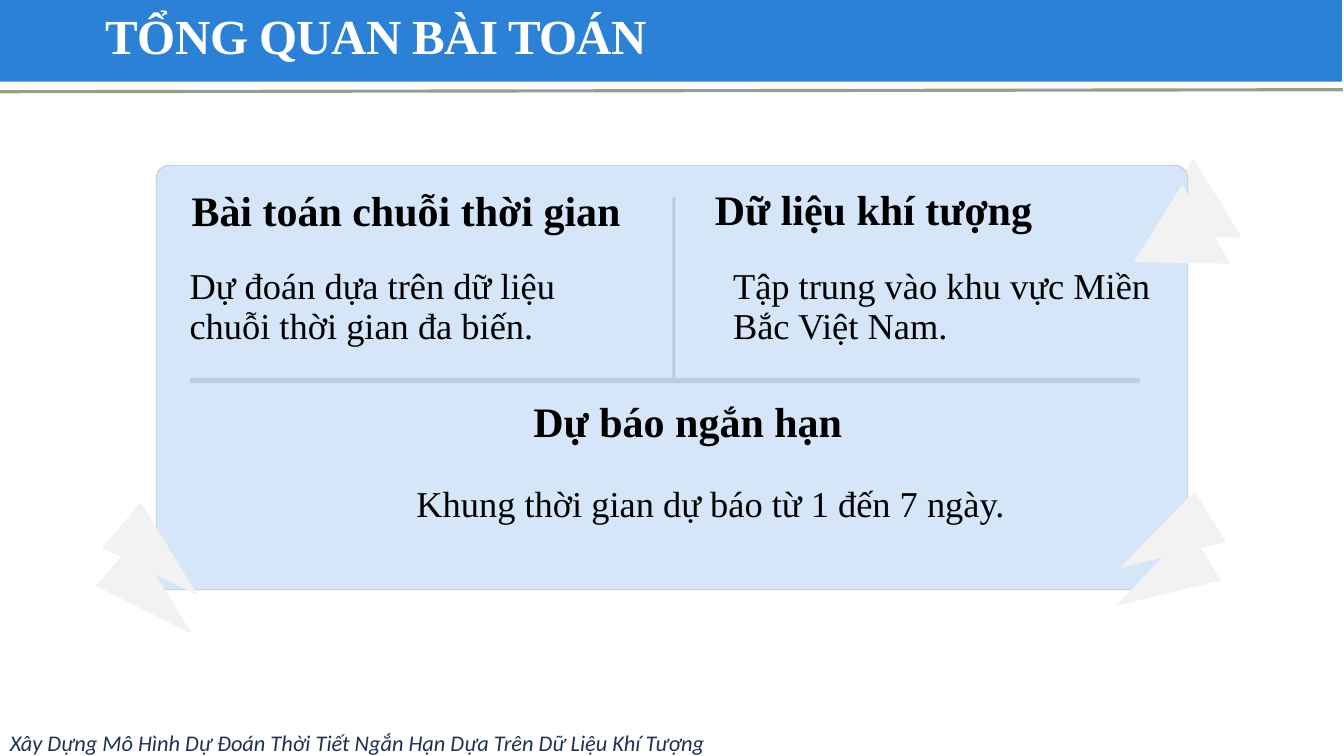
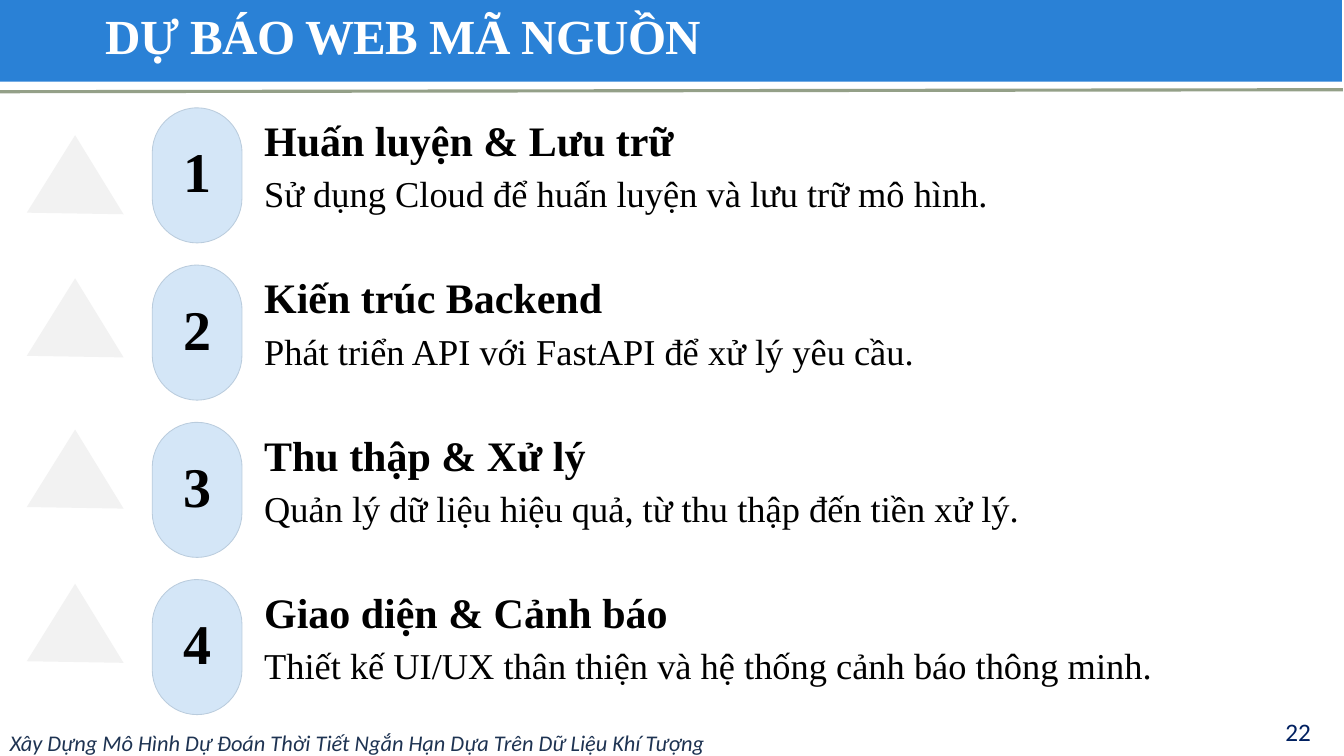
import dataclasses

import pptx
import pptx.dml.color
import pptx.enum.shapes
import pptx.enum.text
import pptx.oxml
import pptx.oxml.ns
import pptx.util

EMU_PER_PX = 9144  # 100 px to the inch
SHAPES = pptx.enum.shapes.MSO_SHAPE
ALIGN = pptx.enum.text.PP_ALIGN
ANCHOR = pptx.enum.text.MSO_ANCHOR


@dataclasses.dataclass(frozen=True)
class Style:
    color: str
    font: dict
    spacing: float = 0  # exact line height in points, 0 for automatic
    tracking: int = 0  # hundredths of a point


def serif(size, color="000000", bold=False, **more):
    return Style(color, {"name": "Times New Roman", "size": pptx.util.Pt(size), "bold": bold}, **more)


def sans(size, color, italic=False):
    return Style(color, {"name": "Calibri", "size": pptx.util.Pt(size), "italic": italic})


@dataclasses.dataclass(frozen=True)
class Theme:
    band: str = "2A81D6"
    rule: str = "94A088"
    panel: str = "D4E6F7"
    edge: str = "BACCDD"
    ornament: str = "F2F2F2"
    title: Style = serif(35, "FFFFFF", True, tracking=-50)
    footer: Style = sans(16, "1E3352", True)
    page: Style = sans(18, "002060")
    topic: Style = serif(30, bold=True, spacing=27.5)
    detail: Style = serif(26, spacing=28.5)
    number: Style = serif(40, bold=True, spacing=24)
    step: Style = serif(30, bold=True, spacing=25)
    step_detail: Style = serif(26, spacing=25.5)


THEME = Theme()
FOOTER = "Xây Dựng Mô Hình Dự Đoán Thời Tiết Ngắn Hạn Dựa Trên Dữ Liệu Khí Tượng"

# Topic, its place, detail, its place
TOPICS = [
    ("Bài toán chuỗi thời gian", (190, 195, 440, 46),
     "Dự đoán dựa trên dữ liệu chuỗi thời gian đa biến.", (188, 265, 449, 95)),
    ("Dữ liệu khí tượng", (709, 194, 384, 46),
     "Tập trung vào khu vực Miền Bắc Việt Nam.", (727, 265, 449, 95)),
    ("Dự báo ngắn hạn", (529, 404, 384, 46),
     "Khung thời gian dự báo từ 1 đến 7 ngày.", (413, 481, 628, 48)),
]

# Step, detail, top of the ornament beside it
STEPS = [
    ("Huấn luyện & Lưu trữ", "Sử dụng Cloud để huấn luyện và lưu trữ mô hình.", 154),
    ("Kiến trúc Backend", "Phát triển API với FastAPI để xử lý yêu cầu.", 296),
    ("Thu thập & Xử lý", "Quản lý dữ liệu hiệu quả, từ thu thập đến tiền xử lý.", 446),
    ("Giao diện & Cảnh báo", "Thiết kế UI/UX thân thiện và hệ thống cảnh báo thông minh.", 599),
]


def px(*lengths):
    return [pptx.util.Emu(length * EMU_PER_PX) for length in lengths]


def rgb(color):
    return pptx.dml.color.RGBColor.from_string(color)


# Elements
def write(frame, words, style, align=ALIGN.LEFT):
    paragraph = frame.paragraphs[0]
    paragraph.alignment = align
    if style.spacing:
        paragraph.line_spacing = pptx.util.Pt(style.spacing)
    run = paragraph.add_run()
    run.text = words
    for name, value in style.font.items():
        setattr(run.font, name, value)
    run.font.color.rgb = rgb(style.color)
    if style.tracking:
        run.font._element.set("spc", str(style.tracking))


def add_text(slide, box, words, style, align=ALIGN.LEFT, inset=False, anchor=ANCHOR.TOP):
    frame = slide.shapes.add_textbox(*px(*box)).text_frame
    layout = {"word_wrap": True, "vertical_anchor": anchor}
    if not inset:
        layout |= dict.fromkeys(("margin_left", "margin_top", "margin_right", "margin_bottom"), 0)
    for name, value in layout.items():
        setattr(frame, name, value)
    write(frame, words, style, align)


def add_block(slide, kind, box, fill, edge=None, adjust=None, rotation=0):
    block = slide.shapes.add_shape(kind, *px(*box))
    block.shadow.inherit = False
    block.rotation = rotation
    block.fill.solid()
    block.fill.fore_color.rgb = rgb(fill)
    if edge:
        block.line.color.rgb = rgb(edge)
        block.line.width = pptx.util.Pt(0.6)
    else:
        block.line.fill.background()
    if adjust is not None:
        block.adjustments[0] = adjust
    return block


def add_ornament(slide, box, rotation=238.5):
    add_block(slide, SHAPES.ISOSCELES_TRIANGLE, box, THEME.ornament, adjust=0.56, rotation=rotation)


def add_rule(slide, start, end):
    rule = slide.shapes.add_connector(pptx.enum.shapes.MSO_CONNECTOR.STRAIGHT, *px(*start, *end))
    rule.line.color.rgb = rgb(THEME.rule)
    rule.line.width = pptx.util.Pt(2.25)
    rule.element.spPr.append(pptx.oxml.parse_xml(
        "<a:effectLst %s/>" % pptx.oxml.ns.nsdecls("a")))
    return rule


# Shared frame
def dress_layout(layout, slide):
    """Move the header band and rule into the layout, behind its title."""
    header = [add_block(slide, SHAPES.RECTANGLE, (-2, -1, 1333, 82), THEME.band),
              add_rule(slide, (0, 91), (1332, 89))]
    for order, part in enumerate(header):
        part.element.xpath(".//p:cNvPr")[0].set("id", str(20 + order))
        layout.shapes.element.insert(2 + order, part.element)
    title = layout.placeholders[0]
    title.left, title.top, title.width, title.height = px(95, 8, 1229, 61)


def start_slide(deck, layout, heading):
    slide = deck.slides.add_slide(layout)
    frame = slide.shapes.title.text_frame
    frame.vertical_anchor = ANCHOR.BOTTOM
    frame.auto_size = pptx.enum.text.MSO_AUTO_SIZE.NONE
    write(frame, heading, THEME.title)
    add_text(slide, (0, 718, 1023, 32), FOOTER, THEME.footer, inset=True)
    return slide


# Slide contents
def fill_overview(slide):
    add_ornament(slide, (1127, 177, 92, 81))
    add_block(slide, SHAPES.ROUNDED_RECTANGLE, (155, 164, 1023, 421),
              THEME.panel, THEME.edge, adjust=0.03)
    for divider in ((667, 195, 3, 183), (188, 375, 943, 5)):
        add_block(slide, SHAPES.ROUNDED_RECTANGLE, divider, THEME.edge, adjust=0.5)
    for topic, topic_box, detail, detail_box in TOPICS:
        add_text(slide, topic_box, topic, THEME.topic)
        add_text(slide, detail_box, detail, THEME.detail)
    add_ornament(slide, (1116, 203, 92, 81))
    for left, top, rotation in ((1122, 526, 238.5), (1127, 488, 238.5),
                                (124, 541, 130.7), (130, 503, 130.7)):
        add_ornament(slide, (left, top, 59, 103), rotation)


def fill_steps(slide):
    first_top, pitch = 107, 156
    for order, (step, detail, ornament_top) in enumerate(STEPS):
        top = first_top + order * pitch
        add_block(slide, SHAPES.ROUNDED_RECTANGLE, (151, top, 89, 134),
                  THEME.panel, THEME.edge, adjust=0.5)
        add_text(slide, (179, top + 62, 34, 42), str(order + 1), THEME.number, ALIGN.CENTER)
        add_text(slide, (262, top + 22, 900, 35), step, THEME.step)
        add_text(slide, (262, top + 71, 900, 36), detail, THEME.step_detail)
        add_ornament(slide, (18, ornament_top, 92, 81))
    add_text(slide, (1167, 710, 143, 32), "22", THEME.page, ALIGN.RIGHT,
             inset=True, anchor=ANCHOR.MIDDLE)


def main():
    deck = pptx.Presentation()
    deck.slide_width, deck.slide_height = px(1333, 750)
    layout = deck.slide_layouts[5]  # Title Only
    overview = start_slide(deck, layout, "TỔNG QUAN BÀI TOÁN")
    dress_layout(layout, overview)
    fill_overview(overview)
    fill_steps(start_slide(deck, layout, "DỰ BÁO WEB MÃ NGUỒN"))
    deck.save("out.pptx")


if __name__ == "__main__":
    main()
